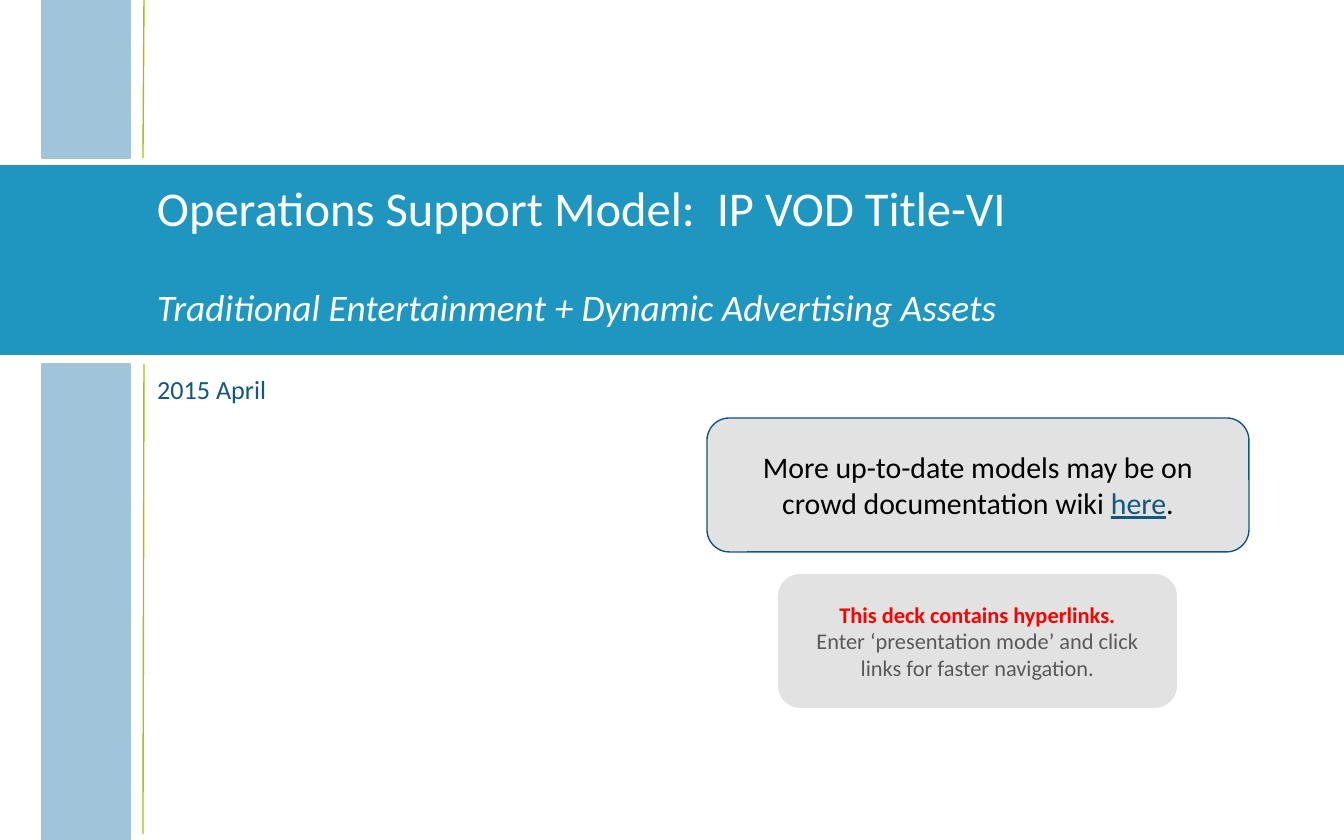
from lxml import etree
from pptx import Presentation
from pptx.dml.color import RGBColor
from pptx.enum.shapes import MSO_CONNECTOR, MSO_SHAPE as SHAPE
from pptx.enum.text import MSO_ANCHOR as ANCHOR, MSO_AUTO_SIZE as FIT, PP_ALIGN as ALIGN
from pptx.oxml.ns import qn
from pptx.util import Emu, Pt

EMU_PER_PIXEL = 914400 / 134.4
BAND_BLUE, PALE_BLUE, GREEN = "1E96C0", "A0C5DB", "99CC00"
NAVY, GREY, WHITE = "135680", "E2E2E2", "FFFFFF"


def px(*lengths):
    """Turn pixel lengths into a list of EMU lengths."""
    return [Emu(round(length * EMU_PER_PIXEL)) for length in lengths]


def paint(color_format, color):
    """Set a fill's, line's or font's colour from a hex string."""
    color_format.rgb = RGBColor.from_string(color)


presentation = Presentation()
presentation.slide_width, presentation.slide_height = px(1344, 840)
slide = presentation.slides.add_slide(presentation.slide_layouts[5])
shapes = slide.shapes

# Title band and side bars
for box, color in [
    ((0, 166, 1344, 188), BAND_BLUE),
    ((42, 0, 88, 158), PALE_BLUE),
    ((42, 364, 88, 476), PALE_BLUE),
]:
    bar = shapes.add_shape(SHAPE.RECTANGLE, *px(*box))
    bar.shadow.inherit = False
    bar.fill.solid()
    paint(bar.fill.fore_color, color)
    paint(bar.line.color, color)
    bar.line.width = Pt(1)

# Thin rules beside the bars
for top, bottom in [(0, 158), (364, 834)]:
    rule = shapes.add_connector(MSO_CONNECTOR.STRAIGHT, *px(144, top, 143, bottom))
    paint(rule.line.color, GREEN)
    rule.line.width = Pt(0.75)
    etree.SubElement(rule._element.spPr, qn("a:effectLst"))

# Text holders
title = shapes.title
title.left, title.top, title.width, title.height = px(146, 180, 1030, 52)
title_frame = title.text_frame
title_frame.margin_left, title_frame.margin_right = px(11, 11)
title_frame.margin_top, title_frame.margin_bottom = px(5, 5)

date = shapes.add_textbox(*px(144, 370, 1016, 43))

callouts = []
for box, outline in [((778, 574, 399, 134), None), ((707, 418, 542, 134), "105580")]:
    callout = shapes.add_shape(SHAPE.ROUNDED_RECTANGLE, *px(*box))
    callout.shadow.inherit = False
    callout.fill.solid()
    paint(callout.fill.fore_color, GREY)
    if outline:
        paint(callout.line.color, outline)
        callout.line.width = Pt(0.75)
    else:
        callout.line.fill.background()
    callouts.append(callout)
navigation_tip, wiki_note = callouts

# Paragraphs are lists of runs: (text, size, colour, styles)
contents = [
    (title, ANCHOR.TOP, ALIGN.LEFT, 0.9, 28, [
        [("Operations Support Model:  IP VOD Title-VI", 26, WHITE, "")],
        [("Traditional Entertainment + Dynamic Advertising Assets", 20, WHITE, "italic")],
    ]),
    (date, ANCHOR.TOP, ALIGN.LEFT, 0.9, 0, [[("2015 April", 14, NAVY, "")]]),
    (navigation_tip, ANCHOR.MIDDLE, ALIGN.CENTER, 1.0, 0, [
        [("This deck contains hyperlinks.", 12, "FF0000", "bold")],
        [("Enter ‘presentation mode’ and click links for faster navigation.", 12, "595959", "")],
    ]),
    (wiki_note, ANCHOR.MIDDLE, ALIGN.CENTER, 1.0, 0, [[
        ("More up-to-date models may be on crowd documentation wiki ", 16, "000000", ""),
        ("here", 16, NAVY, "underline"),
        (".", 16, "000000", ""),
    ]]),
]
for holder, anchor, align, line_spacing, gap, paragraphs in contents:
    frame = holder.text_frame
    frame.word_wrap = True
    frame.auto_size = FIT.NONE
    frame.vertical_anchor = anchor
    for index, runs in enumerate(paragraphs):
        paragraph = frame.add_paragraph() if index else frame.paragraphs[0]
        paragraph.alignment = align
        paragraph.line_spacing = line_spacing
        paragraph.space_before = Pt(gap if index else 0)
        for text, size, color, style in runs:
            run = paragraph.add_run()
            run.text = text
            font = run.font
            font.name, font.size = "Calibri", Pt(size)
            font.bold = style == "bold"
            font.italic = style == "italic"
            font.underline = style == "underline"
            paint(font.color, color)

# The title is created first, so lift it above the band
shapes._spTree.append(title._element)

presentation.save("out.pptx")
